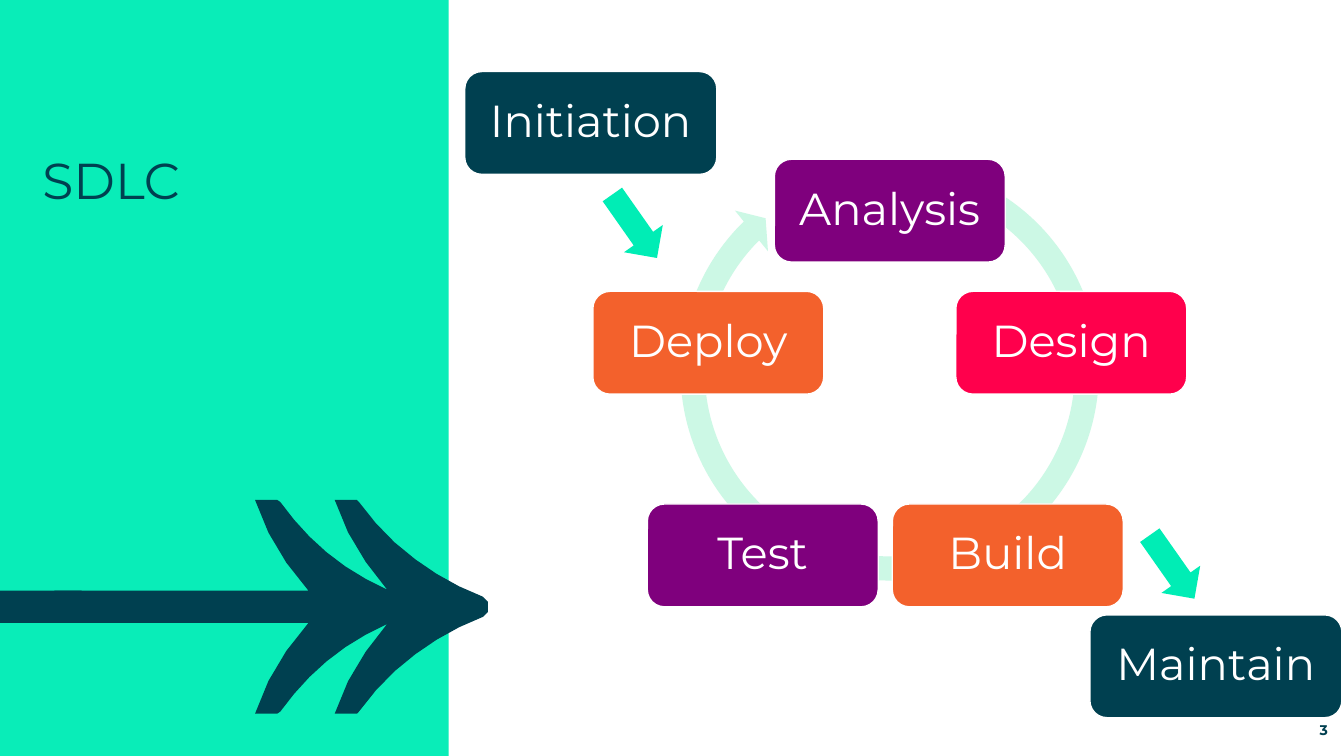
from pptx import Presentation
from pptx.dml.color import RGBColor
from pptx.enum.shapes import MSO_SHAPE
from pptx.enum.text import MSO_ANCHOR, MSO_AUTO_SIZE, PP_ALIGN
from pptx.util import Pt

PX = 9144  # 100 px to the inch
COLORS = {
    "panel": "09EDB8", "navy": "004050", "mint": "00EDB5", "ring": "CCF8E5",
    "purple": "7F007D", "red": "FF004C", "orange": "F3612C", "white": "FFFFFF",
}
FONT = "Montserrat"

STAGES = [
    ("Analysis", 768, 158, "purple"),
    ("Design", 948, 289, "red"),
    ("Build", 885, 500, "orange"),
    ("Test", 642, 500, "purple"),
    ("Deploy", 588, 289, "orange"),
]
RING_SIZE = 443
# Band width, head angle, end angle, start angle, head width
RING_ADJUSTMENTS = [24 / RING_SIZE, 3.31, 135.28, 175.39, 26 / RING_SIZE]

# Upper half of the feathered arrow: two points are a line, four are a cubic curve.
ARROW_AXIS = 602
ARROW_EDGE = [
    [(54, 586), (306, 586)],
    [(306, 586), (282, 559), (264, 530), (253, 496)],
    [(253, 496), (275, 496)],
    [(275, 496), (278, 498)],
    [(278, 498), (291, 516), (306, 533), (324, 548)],
    [(324, 548), (342, 563), (362, 575), (384, 585)],
    [(384, 585), (361, 558), (343, 530), (332, 496)],
    [(332, 496), (354, 496)],
    [(354, 496), (356, 498)],
    [(356, 498), (372, 520), (390, 539), (412, 555)],
    [(412, 555), (432, 570), (455, 583), (479, 592)],
    [(479, 592), (484, 597)],
]


def rgb(name):
    return RGBColor.from_string(COLORS[name])


def sample(segment, steps=3):
    """Return the points of a segment after its start."""
    if len(segment) == 2:
        return segment[1:]
    points = []
    for i in range(1, steps + 1):
        t = i / steps
        weights = ((1 - t) ** 3, 3 * t * (1 - t) ** 2, 3 * t * t * (1 - t), t ** 3)
        points.append(tuple(sum(w * p[k] for w, p in zip(weights, segment)) for k in (0, 1)))
    return points


class SlideBuilder:
    """Holds the style and the current slide."""

    def __init__(self, prs):
        self.s = prs.slides.add_slide(prs.slide_layouts[5])

    def paint(self, sp, fill, line=None):
        sp.shadow.inherit = False
        sp.fill.solid()
        sp.fill.fore_color.rgb = rgb(fill)
        if line:
            sp.line.color.rgb = rgb(line)
            sp.line.width = Pt(1)
        else:
            sp.line.fill.background()

    def shape(self, kind, box, fill, line=None, rotation=0, adjustments=()):
        sp = self.s.shapes.add_shape(kind, *(v * PX for v in box))
        for i, value in enumerate(adjustments):
            sp.adjustments[i] = value
        sp.rotation = rotation
        self.paint(sp, fill, line)
        return sp

    def text(self, sp, words, color, size, bold=False, inset=0,
             anchor=MSO_ANCHOR.TOP, align=PP_ALIGN.LEFT, spacing=1.0):
        tf = sp.text_frame
        frame = {"word_wrap": True, "auto_size": MSO_AUTO_SIZE.NONE, "vertical_anchor": anchor}
        for side in ("left", "top", "right", "bottom"):
            frame["margin_" + side] = inset * PX
        for key, value in frame.items():
            setattr(tf, key, value)
        p = tf.paragraphs[0]
        p.alignment = align
        p.line_spacing = spacing
        r = p.add_run()
        r.text = words
        for key, value in {"name": FONT, "size": Pt(size), "bold": bold}.items():
            setattr(r.font, key, value)
        r.font.color.rgb = rgb(color)

    def title(self, words, box):
        sp = self.s.shapes.title
        for key, value in zip(("left", "top", "width", "height"), box):
            setattr(sp, key, value * PX)
        self.text(sp, words, "navy", 36)

    def page_number(self, words, box):
        sp = self.s.shapes.add_textbox(*(v * PX for v in box))
        self.text(sp, words, "navy", 10, bold=True,
                  anchor=MSO_ANCHOR.BOTTOM, align=PP_ALIGN.RIGHT)

    def node(self, words, left, top, fill, width=229):
        sp = self.shape(MSO_SHAPE.ROUNDED_RECTANGLE, (left, top, width, 102), fill, "white")
        self.text(sp, words, "white", 32, inset=13, anchor=MSO_ANCHOR.MIDDLE,
                  align=PP_ALIGN.CENTER, spacing=0.9)

    def step_arrow(self, left, top):
        self.shape(MSO_SHAPE.RIGHT_ARROW, (left, top, 77, 47), "mint", rotation=54.9)

    def feathered_arrow(self):
        upper = [ARROW_EDGE[0][0]]
        for segment in ARROW_EDGE:
            upper += sample(segment)
        lower = [(x, 2 * ARROW_AXIS - y) for x, y in reversed(upper)]
        points = [(x * PX, y * PX) for x, y in upper + lower]
        outline = self.s.shapes.build_freeform(*points[0])
        outline.add_line_segments(points[1:], close=True)
        self.paint(outline.convert_to_shape(), "navy")
        self.shape(MSO_SHAPE.RECTANGLE, (0, 586, 81, 32), "navy")


def main():
    prs = Presentation()
    prs.slide_width, prs.slide_height = 1333 * PX, 750 * PX
    slide = SlideBuilder(prs)

    slide.shape(MSO_SHAPE.RECTANGLE, (0, 0, 445, 750), "panel")
    slide.feathered_arrow()
    # The panel and arrow are drawn first, so lift the title above them.
    tree = slide.s.shapes.title.element.getparent()
    tree.append(slide.s.shapes.title.element)
    slide.title("SDLC", (42, 148, 377, 301))
    slide.page_number("3", (1231, 712, 86, 20))

    slide.shape(MSO_SHAPE.CIRCULAR_ARROW, (661, 147, RING_SIZE, RING_SIZE), "ring",
                adjustments=RING_ADJUSTMENTS)
    for stage in STAGES:
        slide.node(*stage)

    slide.node("Initiation", 461, 71, "navy", width=250)
    slide.step_arrow(591, 201)
    slide.step_arrow(1124, 539)
    slide.node("Maintain", 1081, 610, "navy", width=250)

    prs.save("out.pptx")


if __name__ == "__main__":
    main()
